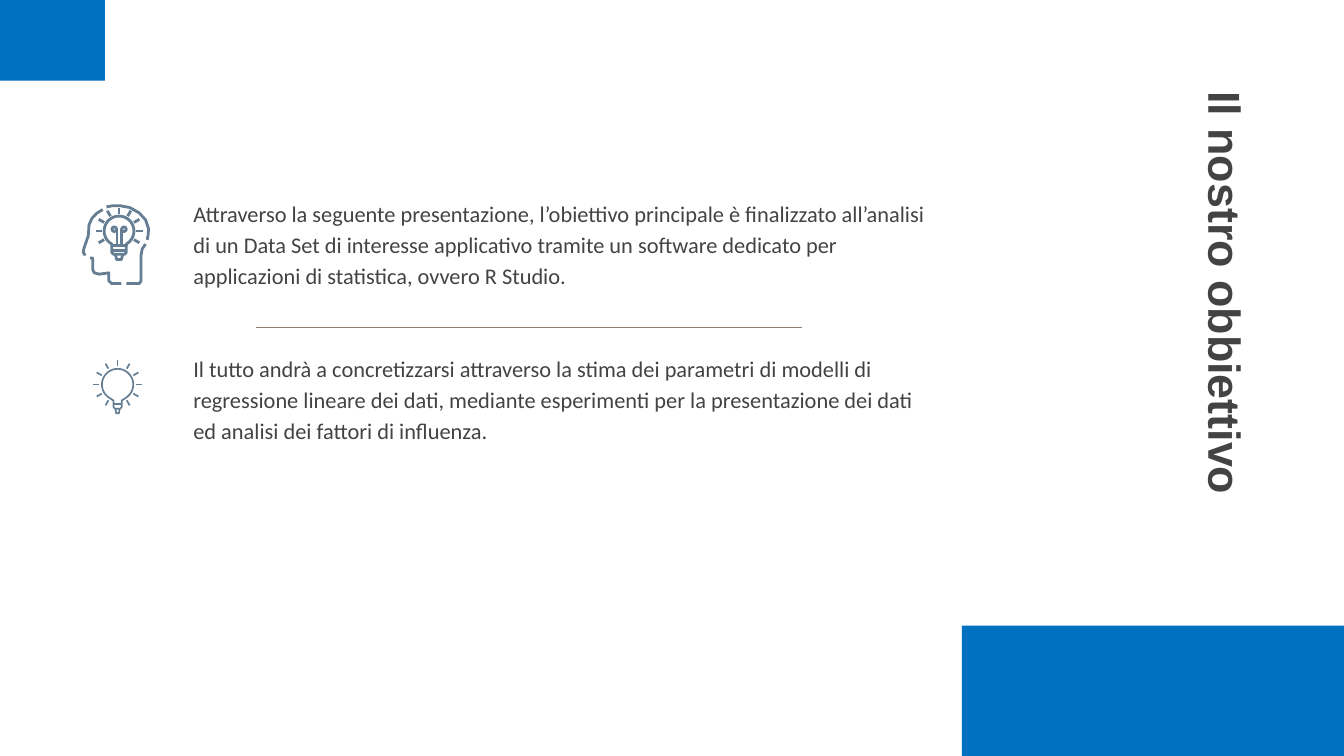
from math import cos, radians, sin

from lxml import etree
from pptx import Presentation
from pptx.dml.color import RGBColor
from pptx.enum.shapes import MSO_CONNECTOR, MSO_SHAPE
from pptx.enum.text import MSO_ANCHOR
from pptx.oxml.ns import qn
from pptx.util import Pt

BLUE = RGBColor(0x00, 0x70, 0xC0)
GREY = RGBColor(0x43, 0x43, 0x43)
SLATE = RGBColor(0x65, 0x7E, 0x93)
OLIVE = RGBColor(0x8E, 0x7F, 0x66)

WIDTH, HEIGHT = 720, 405
TITLE = "Il nostro obbiettivo"
BODY = [
    "Attraverso la seguente presentazione, l’obiettivo principale è finalizzato "
    "all’analisi di un Data Set di interesse applicativo tramite un software "
    "dedicato per applicazioni di statistica, ovvero R Studio.",
    "Il tutto andrà a concretizzarsi attraverso la stima dei parametri di modelli "
    "di regressione lineare dei dati, mediante esperimenti per la presentazione "
    "dei dati ed analisi dei fattori di influenza.",
]
CORNER = (56.2, 43.2)
FOOTER = (204.7, 69.8)

HEAD = {
    "neck": [(48.2, 138.2), (49.7, 138.2), (49.7, 144.5), (50.6, 146.2), (53.3, 146.9),
             (58.3, 146.2), (58.3, 150.5), (59.8, 151.9), (65, 151.9)],
    "face": [(55, 112.3), (51.8, 114.3), (49.3, 117), (47.7, 120.5), (47.5, 123.8),
             (47.3, 126.4), (45, 133), (44.6, 135), (45.6, 136.9)],
    "skull": [(57, 110.9), (60.5, 110.2), (64.1, 110.2), (69.5, 111.2), (74.5, 114),
              (78, 117.8), (79.6, 122.6), (79.4, 125.8), (78.9, 128.5)],
    "nape": [(78, 130.8), (76.2, 133.4), (75.6, 136.8), (75.6, 150.5), (74.7, 151.9),
             (67.7, 151.9)],
}
RAY_ANGLES = [a for a in range(0, 360, 30) if a != 90]  # clockwise from the right
HEAD_BULB = {"center": (63.8, 123.8), "radius": 8, "neck": 3.9, "socket": (131.6, 134.4),
             "bottom": 136.2, "tip": 139, "rays": (9.2, 12.6), "weight": 1.5,
             "angles": [a for a in RAY_ANGLES if a not in (60, 120)]}
PLAIN_BULB = {"center": (63, 206), "radius": 8.4, "neck": 2.2, "socket": (216.4,),
              "bottom": 219, "tip": 221.4, "rays": (9.8, 12.9), "weight": 0.9,
              "angles": RAY_ANGLES}


def stroke(shapes, points, color, weight, close=False):
    """Draw a connector through two points, or an unfilled outline through more."""
    pts = [(Pt(x), Pt(y)) for x, y in points]
    if len(pts) == 2:
        sp = shapes.add_connector(MSO_CONNECTOR.STRAIGHT, *pts[0], *pts[1])
    else:
        builder = shapes.build_freeform(*pts[0])
        builder.add_line_segments(pts[1:], close=close)
        sp = builder.convert_to_shape()
        sp.fill.background()
    sp.line.color.rgb = color
    sp.line.width = Pt(weight)
    etree.SubElement(sp._element.spPr, qn("a:effectLst"))


def polar(center, radius, angle):
    a = radians(angle)
    return center[0] + radius * cos(a), center[1] + radius * sin(a)


def arc(center, radius, start, end, step=10):
    return [polar(center, radius, a) for a in range(start, end + 1, step)]


def add_bulb(shapes, center, radius, neck, socket, bottom, tip, rays, weight, angles):
    cx, cy = center
    glass = arc(center, radius, 120, 420)
    shoulder = cy + radius + 0.2
    base = [(cx + neck, shoulder), (cx + neck, bottom - 1), (cx + neck - 0.8, bottom),
            (cx - neck + 0.8, bottom), (cx - neck, bottom - 1), (cx - neck, shoulder)]
    cap = [(cx - neck / 2, bottom), (cx - neck / 3, tip), (cx + neck / 3, tip),
           (cx + neck / 2, bottom)]
    stroke(shapes, glass + base, SLATE, weight, close=True)
    stroke(shapes, cap, SLATE, weight)
    for y in socket:
        stroke(shapes, [(cx - neck, y), (cx + neck, y)], SLATE, weight)
    for angle in angles:
        stroke(shapes, [polar(center, r, angle) for r in rays], SLATE, weight)


def add_filament(shapes, center, socket, weight):
    cx, cy = center
    for side in (-1, 1):
        x = cx + side * 1.1
        loop = arc((cx + side * 2.6, cy - 1), 1.2, 0, 360, 30)
        stroke(shapes, loop, SLATE, weight, close=True)
        stroke(shapes, [(x, cy - 1), (x, socket)], SLATE, weight)


def add_block(slide, left, top, size):
    sp = slide.shapes.add_shape(MSO_SHAPE.RECTANGLE, Pt(left), Pt(top), *map(Pt, size))
    sp.shadow.inherit = False
    sp.fill.solid()
    sp.fill.fore_color.rgb = BLUE
    sp.line.fill.background()


def add_text(slide, box, texts, font, size, bold=False, spacing=1.0, gap=0):
    sp = slide.shapes.add_textbox(*map(Pt, box))
    tf = sp.text_frame
    tf.word_wrap = True
    tf.margin_left = tf.margin_right = tf.margin_top = tf.margin_bottom = Pt(7.2)
    for i, text in enumerate(texts):
        p = tf.add_paragraph() if i else tf.paragraphs[0]
        p.text = text
        p.line_spacing = spacing
        if i:
            p.space_before = Pt(gap)
        p.font.name, p.font.size, p.font.bold = font, Pt(size), bold
        p.font.color.rgb = GREY
    return sp


def main():
    prs = Presentation()
    prs.slide_width, prs.slide_height = Pt(WIDTH), Pt(HEIGHT)
    slide = prs.slides.add_slide(prs.slide_layouts[6])

    title = add_text(slide, (519.8, 159.8, 274.3, 38.2), [TITLE], "Arial", 24, bold=True)
    title.rotation = 90
    title.text_frame.vertical_anchor = MSO_ANCHOR.MIDDLE
    add_text(slide, (96.5, 97.9, 409, 234), BODY, "Calibri", 12, spacing=1.15, gap=33.2)

    add_block(slide, 0, 0, CORNER)
    add_block(slide, WIDTH - FOOTER[0], HEIGHT - FOOTER[1], FOOTER)

    head = slide.shapes.add_group_shape().shapes
    for points in HEAD.values():
        stroke(head, points, SLATE, HEAD_BULB["weight"])
    add_bulb(head, **HEAD_BULB)
    add_filament(head, HEAD_BULB["center"], HEAD_BULB["socket"][0], HEAD_BULB["weight"])
    add_bulb(slide.shapes.add_group_shape().shapes, **PLAIN_BULB)

    stroke(slide.shapes, [(137, 175.6), (429.6, 175.6)], OLIVE, 0.75)
    prs.save("out.pptx")


if __name__ == "__main__":
    main()
